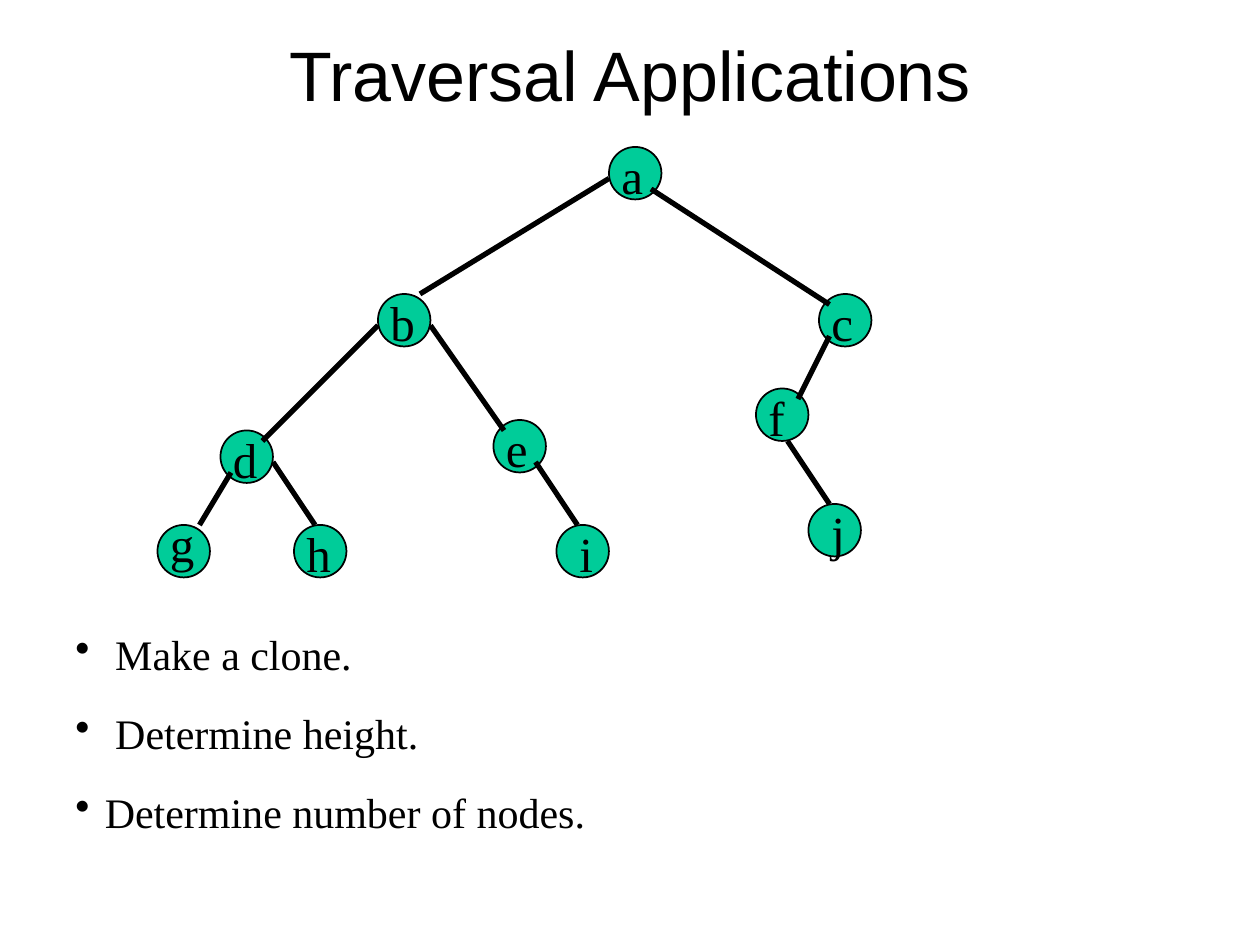
import pptx
import pptx.util
import pptx.dml.color
import pptx.enum.shapes
import pptx.enum.text
import pptx.oxml
import pptx.oxml.ns

PX = 7620  # 120 px to the inch
COLORS = {"node": "00CC99", "ink": "000000"}
INK = pptx.dml.color.RGBColor.from_string(COLORS["ink"])
NODE = pptx.dml.color.RGBColor.from_string(COLORS["node"])
SIZE = 50

prs = pptx.Presentation()
prs.slide_width, prs.slide_height = 1200 * PX, 900 * PX
s = prs.slides.add_slide(prs.slide_layouts[6])


def add_text(x, y, w, h, anchor="TOP"):
    tf = s.shapes.add_textbox(x * PX, y * PX, w * PX, h * PX).text_frame
    tf.word_wrap = True
    tf.vertical_anchor = getattr(pptx.enum.text.MSO_ANCHOR, anchor)
    return tf


def write(p, text, font, size, **paragraph_format):
    r = p.add_run()
    r.text = text
    for key, value in {"name": font, "size": pptx.util.Pt(size)}.items():
        setattr(r.font, key, value)
    r.font.color.rgb = INK
    for key, value in paragraph_format.items():
        setattr(p, key, value)


# Title
tf = add_text(90, 20, 1020, 100, "MIDDLE")
write(tf.paragraphs[0], "Traversal Applications", "Arial", 40,
      alignment=pptx.enum.text.PP_ALIGN.CENTER)

# Tree nodes: left, top, label offset
nodes = {
    "a": (580, 140, 0, -10),
    "b": (360, 280, 0, -10),
    "c": (780, 280, 0, -10),
    "d": (210, 410, 0, -10),
    "e": (470, 400, 0, -10),
    "f": (720, 370, 0, -10),
    "g": (150, 500, 0, -20),
    "h": (280, 500, 0, -10),
    "i": (530, 500, 10, -10),
    "j": (770, 480, 10, -10),
}
for x, y, dx, dy in nodes.values():
    sp = s.shapes.add_shape(pptx.enum.shapes.MSO_SHAPE.OVAL,
                            x * PX, y * PX, SIZE * PX, SIZE * PX)
    sp.shadow.inherit = False
    sp.fill.solid()
    sp.fill.fore_color.rgb = NODE
    sp.line.color.rgb = INK
    sp.line.width = pptx.util.Pt(1)

# Tree edges: parent end, child end
edges = [
    (580, 170, 400, 280),  # a-b
    (620, 180, 790, 290),  # a-c
    (360, 310, 250, 420),  # b-d
    (410, 310, 480, 410),  # b-e
    (790, 320, 760, 380),  # c-f
    (220, 450, 190, 500),  # d-g
    (260, 440, 300, 500),  # d-h
    (510, 440, 550, 500),  # e-i
    (750, 420, 790, 480),  # f-j
]
for edge in edges:
    line = s.shapes.add_connector(pptx.enum.shapes.MSO_CONNECTOR.STRAIGHT,
                                  *(v * PX for v in edge))
    line.line.color.rgb = INK
    line.line.width = pptx.util.Pt(3)
    line._element.spPr.append(pptx.oxml.parse_xml(
        "<a:effectLst %s/>" % pptx.oxml.ns.nsdecls("a")))

# Node labels
for name, (x, y, dx, dy) in nodes.items():
    tf = add_text(x + dx, y + dy, 100, 68)
    write(tf.paragraphs[0], name, "Times New Roman", 28, line_spacing=1.05)

# Bullet list: text and hanging indent
bullets = [("Make a clone.", 38), ("Determine height.", 38),
           ("Determine number of nodes.", 28)]
tf = add_text(60, 590, 850, 206)
for i, (text, indent) in enumerate(bullets):
    p = tf.add_paragraph() if i else tf.paragraphs[0]
    pPr = p._p.get_or_add_pPr()
    pPr.set("marL", str(indent * PX))
    pPr.set("indent", str(-indent * PX))
    pPr.append(pptx.oxml.parse_xml(
        '<a:buChar %s char="•"/>' % pptx.oxml.ns.nsdecls("a")))
    write(p, text, "Times New Roman", 24, line_spacing=1.05,
          space_before=pptx.util.Pt(15 if i else 0))

prs.save("out.pptx")
